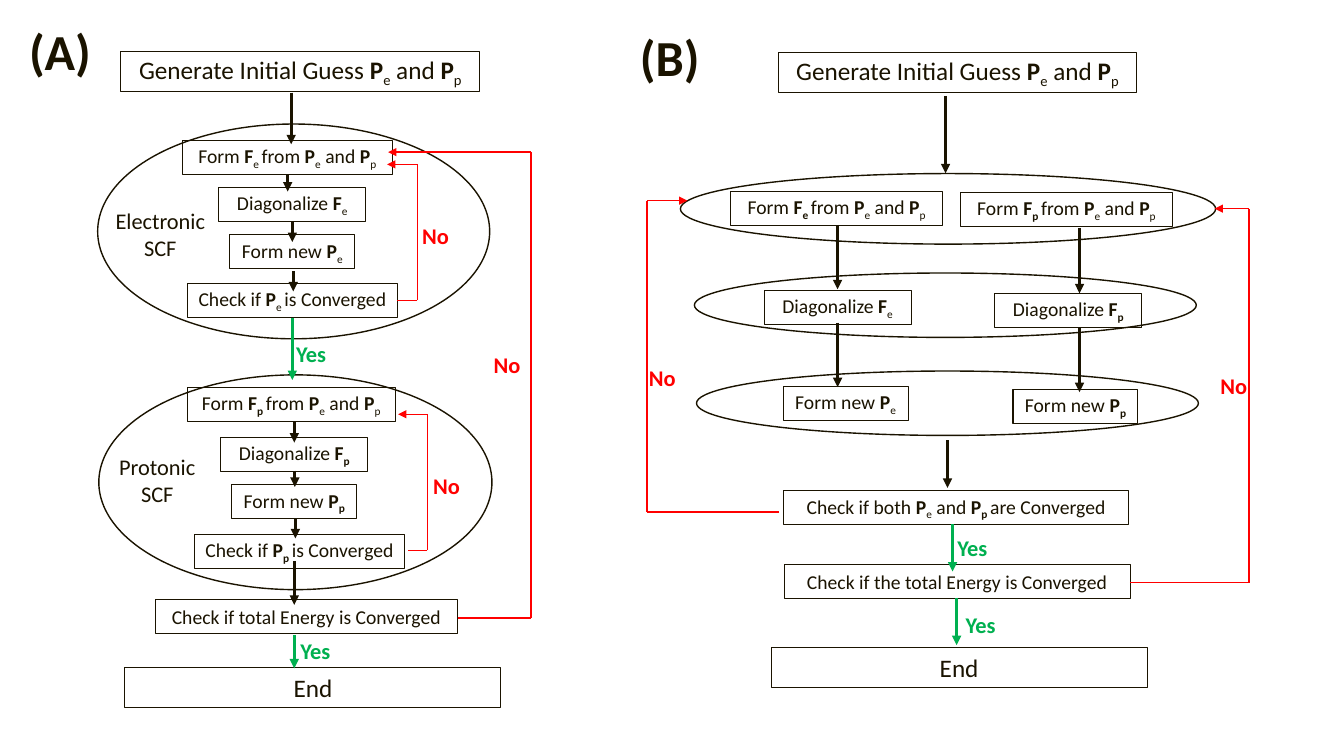
from dataclasses import dataclass
from itertools import pairwise

from lxml.etree import SubElement
from pptx import Presentation
from pptx.dml.color import RGBColor
from pptx.enum.shapes import MSO_CONNECTOR, MSO_SHAPE
from pptx.enum.text import MSO_ANCHOR, PP_ALIGN
from pptx.oxml.ns import qn
from pptx.util import Pt

INK, GREEN, RED = "1A1300", "00B050", "FF0000"
FONT = "Calibri"

# Rich text: runs are parted by "|"; "*" is bold, "_" subscript, "=" bold subscript.
DENSITIES = "*P|_e| and |*P|_p"
GUESS = f"Generate Initial Guess |{DENSITIES}"
FORM_F_E = f"Form |*F|_e |from |{DENSITIES}"
FORM_BOLD_F_E = f"Form |*F|=e |from |{DENSITIES}"
FORM_F_P = f"Form |*F|=p |from |{DENSITIES}"
DIAGONALIZE_E, DIAGONALIZE_P = "Diagonalize |*F|_e", "Diagonalize |*F|=p"
NEW_P_E, NEW_P_P = "Form new |*P|_e", "Form new |*P|=p"
CHECK_E = "Check if |*P|_e |is Converged"
CHECK_P = "Check if |*P|=p |is Converged"
CHECK_BOTH = "Check if both |*P|_e| and |*P|=p |are Converged"


@dataclass(frozen=True)
class Stage:
    """Ellipse around the steps that belong together."""
    left: float
    top: float
    width: float
    height: float


@dataclass(frozen=True)
class Step:
    """Framed step of the flow; its height follows the text size."""
    text: str
    left: float
    top: float
    width: float
    size: int = 14


@dataclass(frozen=True)
class Flow:
    """Vertical arrow to the next step."""
    x: float
    start: float
    end: float
    color: str = INK


@dataclass(frozen=True)
class Loop:
    """Way back from a check: out to a side, up, and in to a step."""
    start: tuple[float, float]
    side: float
    end: tuple[float, float]


@dataclass(frozen=True)
class Label:
    """Free text beside the flow."""
    text: str
    left: float
    top: float
    width: float = 38.2
    height: float = 26.6
    size: int = 16
    color: str = INK
    align: PP_ALIGN = PP_ALIGN.LEFT


STAGES = [
    Stage(497.5, 265, 358.5, 46), Stage(496, 195, 358.5, 46),
    Stage(486, 124, 382.3, 50.4),
    Stage(70.6, 267.8, 280.8, 153.4), Stage(69.8, 88.6, 280, 153.4),
]
STEPS = [
    Step(GUESS, 86.4, 36.7, 256.3, 18),
    Step(FORM_F_E, 130.3, 100.1, 149.8),
    Step(DIAGONALIZE_E, 156.2, 133.9, 105.1),
    Step(NEW_P_E, 164.2, 167.8, 89.3),
    Step(CHECK_E, 133.9, 202.3, 149.8),
    Step(FORM_F_P, 133.9, 276.5, 148.3),
    Step(DIAGONALIZE_P, 157.7, 312.5, 105.1),
    Step(NEW_P_P, 165.6, 346.3, 89.3),
    Step(CHECK_P, 139, 381.6, 149.8),
    Step("Check if total Energy is Converged", 110.9, 428.4, 216),
    Step("End", 89.3, 476.6, 268.6, 18),
    Step(GUESS, 555.8, 37.4, 256.3, 18),
    Step(FORM_BOLD_F_E, 522, 136.8, 151.2),
    Step(FORM_F_P, 686.2, 137.5, 151.2),
    Step(DIAGONALIZE_E, 545.8, 207.4, 105.1),
    Step(DIAGONALIZE_P, 710.6, 209.5, 105.1),
    Step(NEW_P_E, 559.4, 275.8, 89.3),
    Step(NEW_P_P, 723.6, 277.9, 89.3),
    Step(CHECK_BOTH, 559.4, 350.6, 247),
    Step("Check if the total Energy is Converged", 560.2, 403.2, 247),
    Step("End", 550.8, 462.2, 268.6, 18),
]
FLOWS = [
    Flow(208, 66.2, 103), Flow(205.5, 124.6, 136.8),
    Flow(208.8, 158.4, 172.8), Flow(209.5, 193.7, 208.1),
    Flow(208.8, 226.8, 271.4, GREEN),
    Flow(210.2, 301.7, 316.1), Flow(210.6, 336.2, 347.8),
    Flow(211, 370.1, 384.5), Flow(210.2, 401, 432),
    Flow(210.2, 453.6, 477.4, GREEN),
    Flow(675.4, 68.4, 123.8),
    Flow(598.3, 160.6, 206.6), Flow(771.1, 162.7, 209.5),
    Flow(598.3, 230.4, 276.5), Flow(771.1, 234, 280.1),
    Flow(676.8, 314.6, 348.5),
    Flow(680.4, 374.4, 408.2, GREEN), Flow(683.3, 427, 460.8, GREEN),
]
LOOPS = [
    Loop((283.7, 214.6), 298.1, (276.5, 117.4)),
    Loop((291.6, 393.1), 305.3, (284.4, 295.9)),
    Loop((326.9, 441.4), 379.4, (277.2, 108.7)),
    Loop((807.1, 416.2), 892.1, (867.6, 149)),
    Loop((556.6, 365.8), 462.2, (491, 143.3)),
]
YES_PLACES = [(204.5, 239), (207.4, 451.4), (676.8, 378), (682.6, 432.7)]
NO_PLACES = [(294.5, 154.8), (302.4, 333.4), (345.6, 247),
             (864.7, 262.1), (456.5, 256.3)]
LABELS = [
    Label("Electronic\nSCF", 70.6, 144, 87.8, 46, align=PP_ALIGN.CENTER),
    Label("Protonic\nSCF", 59.8, 319.7, 105.1, 46, align=PP_ALIGN.CENTER),
    Label("*(A)", 13.7, 10.1, 59.8, 51.1, 36),
    Label("*(B)", 450, 14.4, 59.8, 51.1, 36),
    *(Label("*Yes", *place, color=GREEN) for place in YES_PLACES),
    *(Label("*No", *place, color=RED) for place in NO_PLACES),
]


def rgb(color: str) -> RGBColor:
    """Turn a hex string into a colour."""
    return RGBColor.from_string(color)


def write(frame, text: str, size: int, color: str, align: PP_ALIGN) -> None:
    """Fill a text frame with rich text, one paragraph per line."""
    frame.vertical_anchor = MSO_ANCHOR.MIDDLE
    for index, line in enumerate(text.split("\n")):
        paragraph = frame.add_paragraph() if index else frame.paragraphs[0]
        paragraph.alignment = align
        for piece in line.split("|"):
            mark = piece[0] if piece[0] in "*_=" else ""
            run = paragraph.add_run()
            run.text = piece.removeprefix(mark)
            run.font.name, run.font.size = FONT, Pt(size)
            run.font.bold = mark in ("*", "=")
            run.font.color.rgb = rgb(color)
            if mark in ("_", "="):
                run.font._element.set("baseline", "-25000")


def add_outline(slide, kind: MSO_SHAPE, left: float, top: float,
                width: float, height: float, weight: float):
    """Add an unfilled shape with a dark outline."""
    shape = slide.shapes.add_shape(kind, Pt(left), Pt(top), Pt(width), Pt(height))
    shape.shadow.inherit = False
    shape.fill.background()
    shape.line.color.rgb = rgb(INK)
    shape.line.width = Pt(weight)
    return shape


def add_step(slide, step: Step) -> None:
    """Draw a framed step with its text."""
    height = 29 if step.size == 18 else 24.3
    frame = add_outline(slide, MSO_SHAPE.RECTANGLE, step.left, step.top,
                        step.width, height, 0.75).text_frame
    frame.word_wrap = False
    write(frame, step.text, step.size, INK, PP_ALIGN.CENTER)


def add_line(slide, start: tuple[float, float], end: tuple[float, float],
             color: str, weight: float, arrow: bool) -> None:
    """Draw a straight connector, with an arrowhead at its end if asked."""
    line = slide.shapes.add_connector(
        MSO_CONNECTOR.STRAIGHT, *(Pt(value) for value in (*start, *end)))
    line.line.color.rgb = rgb(color)
    line.line.width = Pt(weight)
    if arrow:
        SubElement(line.line._get_or_add_ln(), qn("a:tailEnd"), type="triangle")
    SubElement(line._element.spPr, qn("a:effectLst"))


def add_loop(slide, loop: Loop) -> None:
    """Draw the three legs of a loop, the last one with an arrowhead."""
    corners = [loop.start, (loop.side, loop.start[1]),
               (loop.side, loop.end[1]), loop.end]
    for start, end in pairwise(corners):
        add_line(slide, start, end, RED, 1, end == loop.end)


def add_label(slide, label: Label) -> None:
    """Place a free label."""
    frame = slide.shapes.add_textbox(Pt(label.left), Pt(label.top), Pt(label.width),
                                     Pt(label.height)).text_frame
    frame.word_wrap = True
    write(frame, label.text, label.size, label.color, label.align)


def main() -> None:
    """Build both flow charts and save the slide."""
    deck = Presentation()
    deck.slide_width, deck.slide_height = Pt(960), Pt(540)
    slide = deck.slides.add_slide(deck.slide_layouts.get_by_name("Blank"))
    for stage in STAGES:
        add_outline(slide, MSO_SHAPE.OVAL, stage.left, stage.top,
                    stage.width, stage.height, 1)
    for step in STEPS:
        add_step(slide, step)
    for flow in FLOWS:
        add_line(slide, (flow.x, flow.start), (flow.x, flow.end),
                 flow.color, 2.25, True)
    for loop in LOOPS:
        add_loop(slide, loop)
    for label in LABELS:
        add_label(slide, label)
    deck.save("out.pptx")


main()
